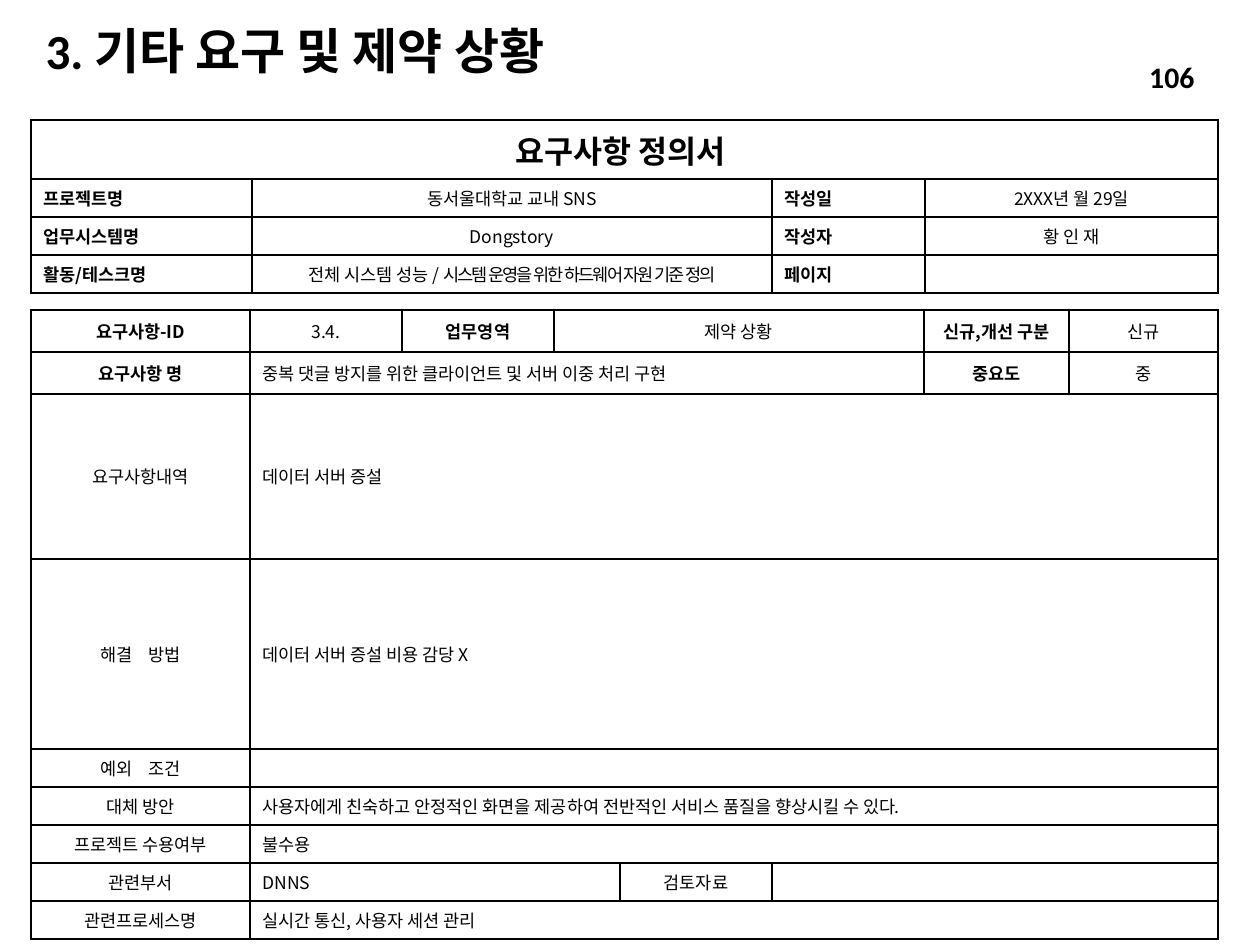
"""Build the requirements definition slide with its two form tables."""
from typing import NamedTuple

from lxml import etree
from pptx import Presentation
from pptx.dml.color import RGBColor
from pptx.enum.text import MSO_ANCHOR, PP_ALIGN
from pptx.oxml.ns import qn
from pptx.util import Emu, Pt

TOP, MIDDLE = MSO_ANCHOR.TOP, MSO_ANCHOR.MIDDLE
LEFT, CENTER, RIGHT, JUSTIFY = PP_ALIGN.LEFT, PP_ALIGN.CENTER, PP_ALIGN.RIGHT, PP_ALIGN.JUSTIFY
PX_PER_INCH = 126
BLACK = "000000"
CALIBRI, NOTO = "Calibri", "Noto Sans CJK KR"
NO_STYLE = "{2D5ABB26-0587-4C30-8999-92F81FD0307C}"
THIN, THICK = 1, 1.5


class Run(NamedTuple):
    """Text with its letter spacing in points."""
    text: str
    spacing: float = 0


class Cell(NamedTuple):
    """One form cell and the number of columns it covers."""
    runs: str | tuple[Run, ...]
    span: int = 1
    align: PP_ALIGN = CENTER
    bold: bool = False
    size: int = 10
    anchor: MSO_ANCHOR = MIDDLE


class Form(NamedTuple):
    """A table with its place, grid and thick inner row edges."""
    left: int
    top: int
    widths: list[int]
    heights: list[int]
    rows: list[list[Cell]]
    thick_edges: set[int]


def px(n: int) -> Emu:
    """Turn pixels into EMU."""
    return Emu(round(n * 914400 / PX_PER_INCH))


def rgb(value: str) -> RGBColor:
    """Turn a hex string into a colour."""
    return RGBColor.from_string(value)


def write(tf, runs, *, size=10, font=NOTO, bold=False, align=LEFT, color=BLACK, line_spacing=None):
    """Fill the first paragraph of a text frame."""
    p = tf.paragraphs[0]
    p.alignment = align
    p.line_spacing = line_spacing
    for run in (Run(runs),) if isinstance(runs, str) else runs:
        if not run.text:
            etree.SubElement(p._p, qn("a:endParaRPr"), sz=str(size * 100))
            continue
        r = p.add_run()
        r.text = run.text
        r.font.size, r.font.name, r.font.bold = Pt(size), font, bold
        r.font.color.rgb = rgb(color)
        rpr = r.font._element
        if run.spacing:
            rpr.set("spc", str(round(run.spacing * 100)))
        ea = etree.Element(qn("a:ea"), typeface=NOTO)
        rpr.find(qn("a:latin")).addnext(ea)


def add_border(cell, side: str, width: float, color: str = BLACK):
    """Add one solid border line to a table cell."""
    ln = etree.SubElement(cell._tc.get_or_add_tcPr(), qn(f"a:ln{side}"), w=str(Pt(width)))
    fill = etree.SubElement(ln, qn("a:solidFill"))
    etree.SubElement(fill, qn("a:srgbClr"), val=color)


def add_cell(table, row: int, col: int, item: Cell, form: Form):
    """Merge, border and fill one form cell."""
    last_row, last_col = len(form.heights), len(form.widths)
    end = col + item.span
    thick_rows = form.thick_edges | {0, last_row}
    for c in range(col, end):
        cell = table.cell(row, c)
        if c == col:
            add_border(cell, "L", THICK if c == 0 else THIN)
        if c == end - 1 or c == col:
            add_border(cell, "R", THICK if end == last_col else THIN)
        for side, edge in (("T", row), ("B", row + 1)):
            add_border(cell, side, THICK if edge in thick_rows else THIN)
        cell.fill.background()
    origin = table.cell(row, col)
    if item.span > 1:
        origin.merge(table.cell(row, end - 1))
    origin.vertical_anchor = item.anchor
    write(origin.text_frame, item.runs, size=item.size, bold=item.bold, align=item.align)


def add_form(s, form: Form):
    """Draw a form as a table."""
    frame = s.shapes.add_table(len(form.heights), len(form.widths), px(form.left), px(form.top),
                               px(sum(form.widths)), px(sum(form.heights)))
    table = frame.table
    table.first_row = table.horz_banding = False
    table._tbl.tblPr.find(qn("a:tableStyleId")).text = NO_STYLE
    for column, width in zip(table.columns, form.widths):
        column.width = px(width)
    for row, height in zip(table.rows, form.heights):
        row.height = px(height)
    for i, items in enumerate(form.rows):
        col = 0
        for item in items:
            add_cell(table, i, col, item, form)
            col += item.span


def label(text: str) -> Cell:
    """Make a bold centred label."""
    return Cell(text, bold=True)


def info_row(name: str, value, key: str, entry: str) -> list[Cell]:
    """Make one row of project information."""
    return [Cell(name, align=JUSTIFY, bold=True, anchor=TOP), Cell(value, anchor=TOP),
            Cell(key, align=JUSTIFY, bold=True, anchor=TOP), Cell(entry, anchor=TOP)]


def detail_row(name, value: str) -> list[Cell]:
    """Make one row with a label and a wide value."""
    return [Cell(name), Cell(value, 7, LEFT)]


def spaced(first: str, second: str) -> tuple[Run, ...]:
    """Join two words by a wide gap."""
    return Run(first), Run(" ", 6.7), Run(second)


REQUIREMENT = Form(
    31, 310, [219, 152, 152, 66, 152, 152, 145, 149], [42, 42, 165, 190] + [38] * 5,
    [
        [label("요구사항-ID"), Cell("3.4."), label("업무영역"), Cell("제약 상황", 3),
         label("신규,개선 구분"), Cell("신규")],
        [label("요구사항 명"), Cell("중복 댓글 방지를 위한 클라이언트 및 서버 이중 처리 구현", 5, LEFT),
         label("중요도"), Cell("중")],
        detail_row("요구사항내역", "데이터 서버 증설"),
        detail_row(spaced("해결", "방법"), "데이터 서버 증설 비용 감당 X"),
        detail_row(spaced("예외", "조건"), ""),
        detail_row("대체 방안", "사용자에게 친숙하고 안정적인 화면을 제공하여 전반적인 서비스 품질을 향상시킬 수 있다."),
        detail_row("프로젝트 수용여부", "불수용"),
        [Cell("관련부서"), Cell("DNNS", 3, LEFT), Cell("검토자료"), Cell("", 3)],
        detail_row("관련프로세스명", "실시간 통신, 사용자 세션 관리"),
    ],
    {1, 2},
)
TASK = (Run("전체 시스템 성능 / "), Run("시스템 운영을 위한 하드웨어 자원 기준 정의", -1))
PROJECT = Form(
    31, 120, [221, 520, 153, 293], [59, 38, 38, 38],
    [
        [Cell("요구사항 정의서 ", 4, bold=True, size=18)],
        info_row("프로젝트명", "동서울대학교 교내 SNS", "작성일", "2XXX년 월 29일"),
        info_row("업무시스템명", "Dongstory", "작성자", "황 인 재"),
        info_row("활동/테스크명", TASK, "페이지", ""),
    ],
    set(),
)


def main():
    """Build and save the slide."""
    prs = Presentation()
    prs.slide_width, prs.slide_height = px(1260), px(945)
    s = prs.slides.add_slide(prs.slide_layouts[5])
    title = s.shapes.title
    title.left, title.top, title.width, title.height = px(33), px(26), px(675), px(55)
    title.text_frame.vertical_anchor = MIDDLE
    write(title.text_frame, "3. 기타 요구 및 제약 상황", size=28, font=CALIBRI, bold=True,
          line_spacing=0.9)
    for form in (REQUIREMENT, PROJECT):
        add_form(s, form)
    number = s.shapes.add_textbox(px(1003), px(52), px(204), px(50))
    number.text_frame.word_wrap = True
    number.text_frame.vertical_anchor = MIDDLE
    write(number.text_frame, "106", size=17, font=CALIBRI, bold=True, align=RIGHT)
    prs.save("out.pptx")


if __name__ == "__main__":
    main()
